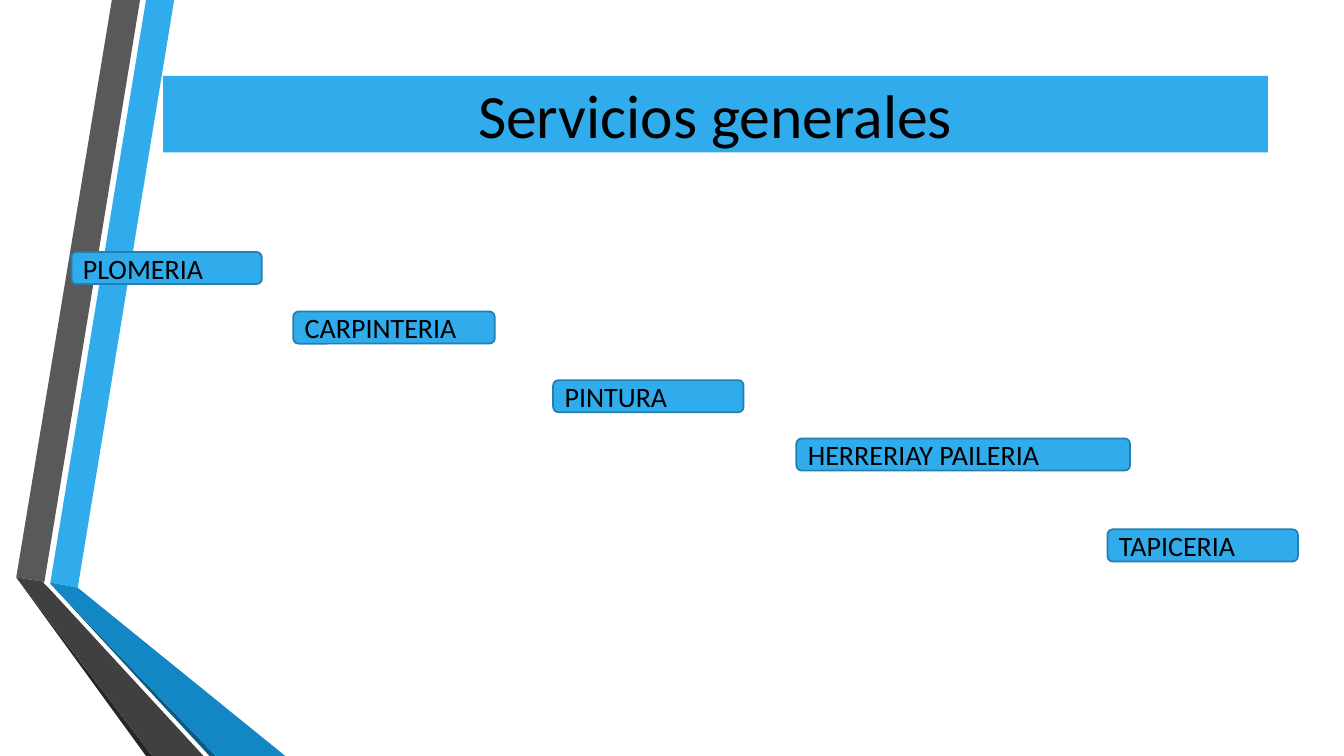
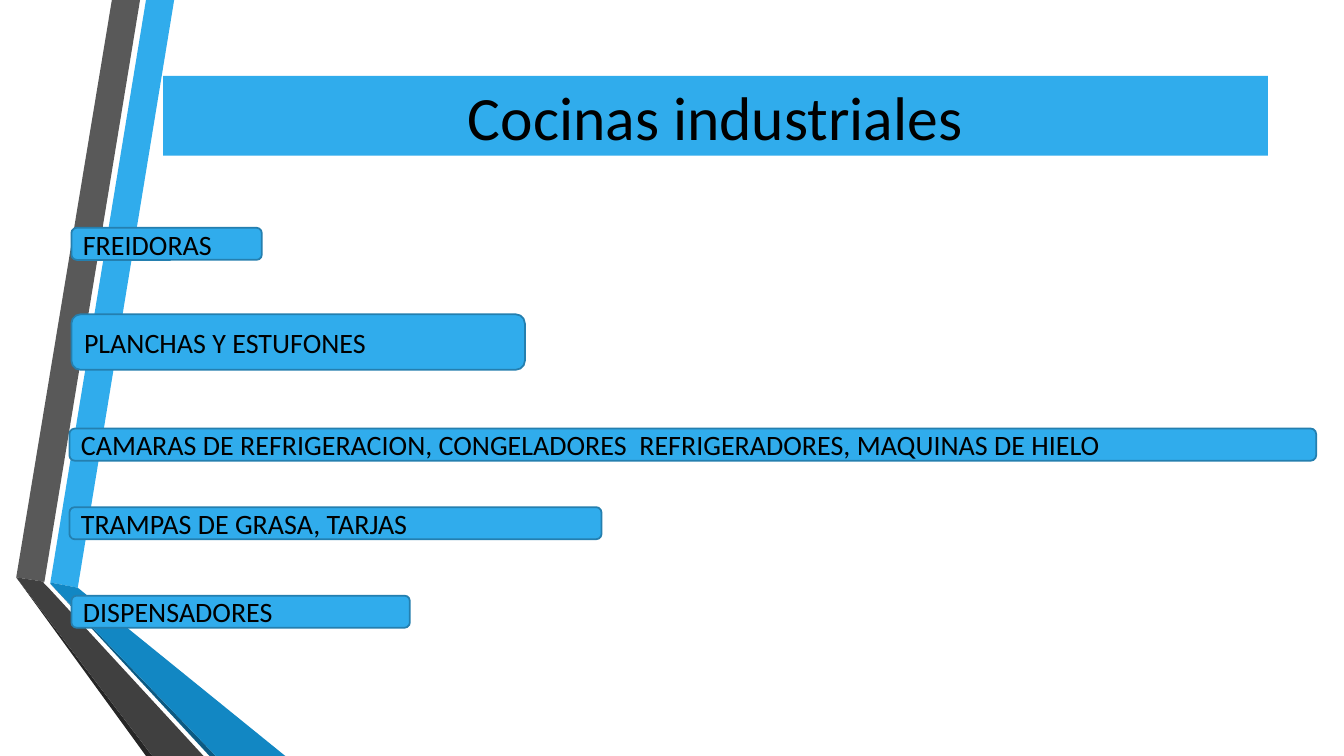
from dataclasses import dataclass

from pptx import Presentation
from pptx import util as u
from pptx.dml.color import RGBColor
from pptx.enum import shapes, text


@dataclass(frozen=True)
class Theme:
    font: str = "Calibri"
    ink: str = "000000"
    blue: str = "30ACEC"
    outline: str = "247FAF"
    deep_blue: str = "1287C3"
    navy: str = "0C5A82"
    grey: str = "595959"
    charcoal: str = "404040"
    black: str = "262626"
    title_size: float = 44
    label_size: float = 20
    line_width: float = 1.25


THEME = Theme()
WIDTH, HEIGHT = 33.87, 19.05
LABEL_HEIGHT = 0.81

RIBBONS = [
    (THEME.blue, [(1.27, 14.68), (1.96, 14.81), (4.39, 0), (3.68, 0)]),
    (THEME.grey, [(3.53, 0), (2.82, 0), (0.41, 14.55), (1.12, 14.66)]),
    (THEME.black, [(0.41, 14.55), (3.68, HEIGHT), (3.84, HEIGHT)]),
    (THEME.navy, [(1.27, 14.71), (5.28, HEIGHT), (5.44, HEIGHT)]),
    (THEME.deep_blue, [(1.27, 14.68), (1.27, 14.71), (5.44, HEIGHT),
                       (7.19, HEIGHT), (1.96, 14.81)]),
    (THEME.charcoal, [(5.13, HEIGHT), (1.22, 14.81), (1.09, 14.68),
                      (1.12, 14.66), (0.41, 14.55), (3.84, HEIGHT)]),
]

PAGES = [
    ("Servicios generales", 1.93, [
        ("PLOMERIA", 1.8, 6.35, 4.8, LABEL_HEIGHT),
        ("CARPINTERIA", 7.39, 7.85, 5.08, LABEL_HEIGHT),
        ("PINTURA", 13.94, 9.58, 4.8, LABEL_HEIGHT),
        ("HERRERIAY PAILERIA", 20.07, 11.05, 8.41, LABEL_HEIGHT),
        ("TAPICERIA", 27.91, 13.34, 4.8, LABEL_HEIGHT),
    ]),
    ("Cocinas industriales", 2.01, [
        ("FREIDORAS", 1.8, 5.74, 4.8, LABEL_HEIGHT),
        ("PLANCHAS Y ESTUFONES", 1.8, 7.92, 11.43, 1.4),
        ("CAMARAS DE REFRIGERACION, CONGELADORES  REFRIGERADORES, MAQUINAS DE HIELO",
         1.75, 10.8, 31.42, LABEL_HEIGHT),
        ("TRAMPAS DE GRASA, TARJAS", 1.75, 12.78, 13.41, LABEL_HEIGHT),
        ("DISPENSADORES", 1.8, 15.01, 8.53, LABEL_HEIGHT),
    ]),
]


def write(box, words, *, size, align, color=THEME.ink, font=THEME.font):
    frame = box.text_frame
    frame.word_wrap = True
    frame.auto_size = text.MSO_AUTO_SIZE.NONE
    frame.vertical_anchor = text.MSO_ANCHOR.MIDDLE
    para = frame.paragraphs[0]
    para.alignment = align
    span = para.add_run()
    span.text = words
    span.font.name = font
    span.font.size = u.Pt(size)
    span.font.color.rgb = RGBColor.from_string(color)


def paint(shape, color):
    shape.fill.solid()
    shape.fill.fore_color.rgb = RGBColor.from_string(color)


class Builder:
    def __init__(self, theme):
        self.theme = theme
        self.deck = Presentation()
        self.deck.slide_width, self.deck.slide_height = u.Cm(WIDTH), u.Cm(HEIGHT)
        self.layout = self.deck.slide_layouts.get_by_name("Title Only")
        self.page = None

    def add_page(self):
        self.page = self.deck.slides.add_slide(self.layout)

    def move_ribbons_to_layout(self, ribbons):
        group = self.page.shapes.add_group_shape()
        for color, points in ribbons:
            start, *rest = [(u.Cm(x), u.Cm(y)) for x, y in points]
            outline = group.shapes.build_freeform(*start)
            outline.add_line_segments(rest, close=True)
            ribbon = outline.convert_to_shape()
            paint(ribbon, color)
            ribbon.line.fill.background()
            ribbon.shadow.inherit = False
        self.layout.shapes.element.insert(2, group.element)

    def title(self, words, height):
        box = self.page.shapes.title
        box.left, box.top = u.Cm(4.11), u.Cm(1.91)
        box.width, box.height = u.Cm(27.84), u.Cm(height)
        paint(box, self.theme.blue)
        write(box, words, size=self.theme.title_size, align=text.PP_ALIGN.CENTER)

    def label(self, words, *place):
        box = self.page.shapes.add_shape(
            shapes.MSO_SHAPE.ROUNDED_RECTANGLE, *map(u.Cm, place))
        box.shadow.inherit = False
        paint(box, self.theme.blue)
        box.line.color.rgb = RGBColor.from_string(self.theme.outline)
        box.line.width = u.Pt(self.theme.line_width)
        write(box, words, size=self.theme.label_size, align=text.PP_ALIGN.LEFT)


def main():
    builder = Builder(THEME)
    for number, (heading, height, labels) in enumerate(PAGES):
        builder.add_page()
        if number == 0:
            builder.move_ribbons_to_layout(RIBBONS)
        builder.title(heading, height)
        for label in labels:
            builder.label(*label)
    builder.deck.save("out.pptx")


if __name__ == "__main__":
    main()
